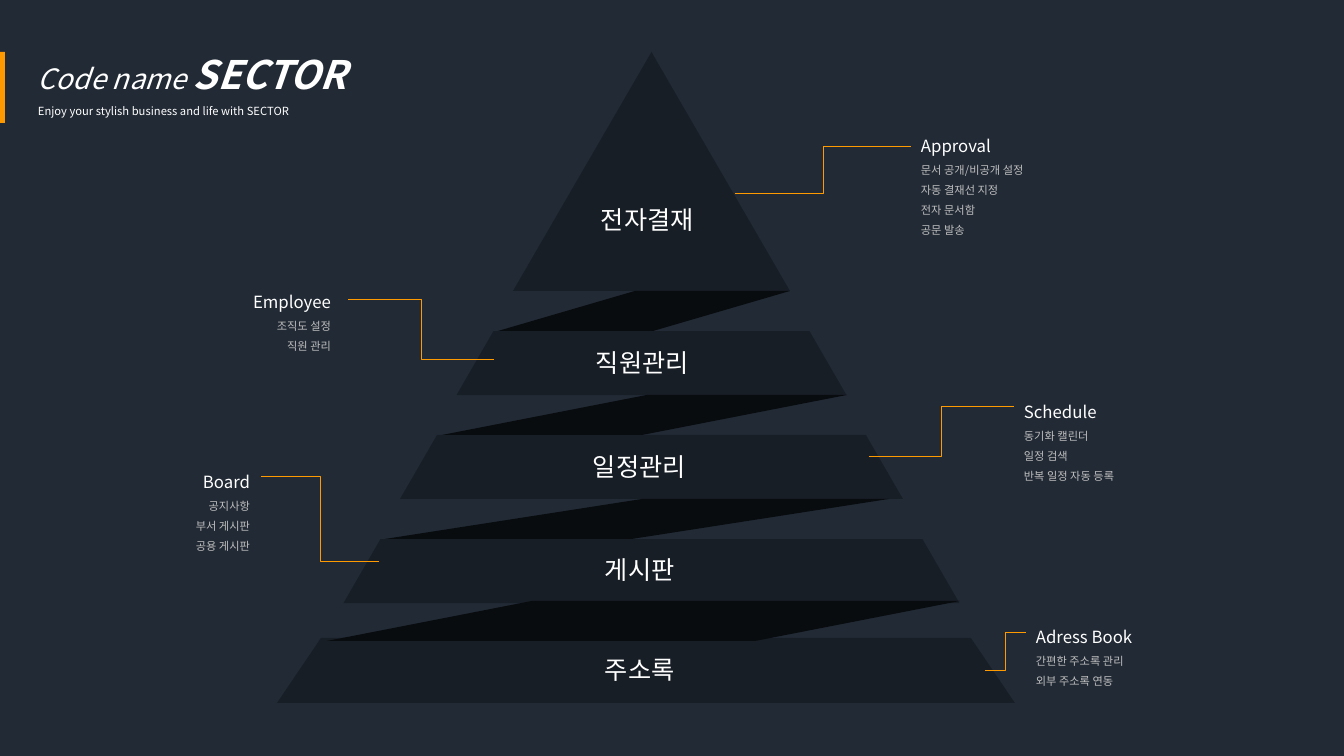
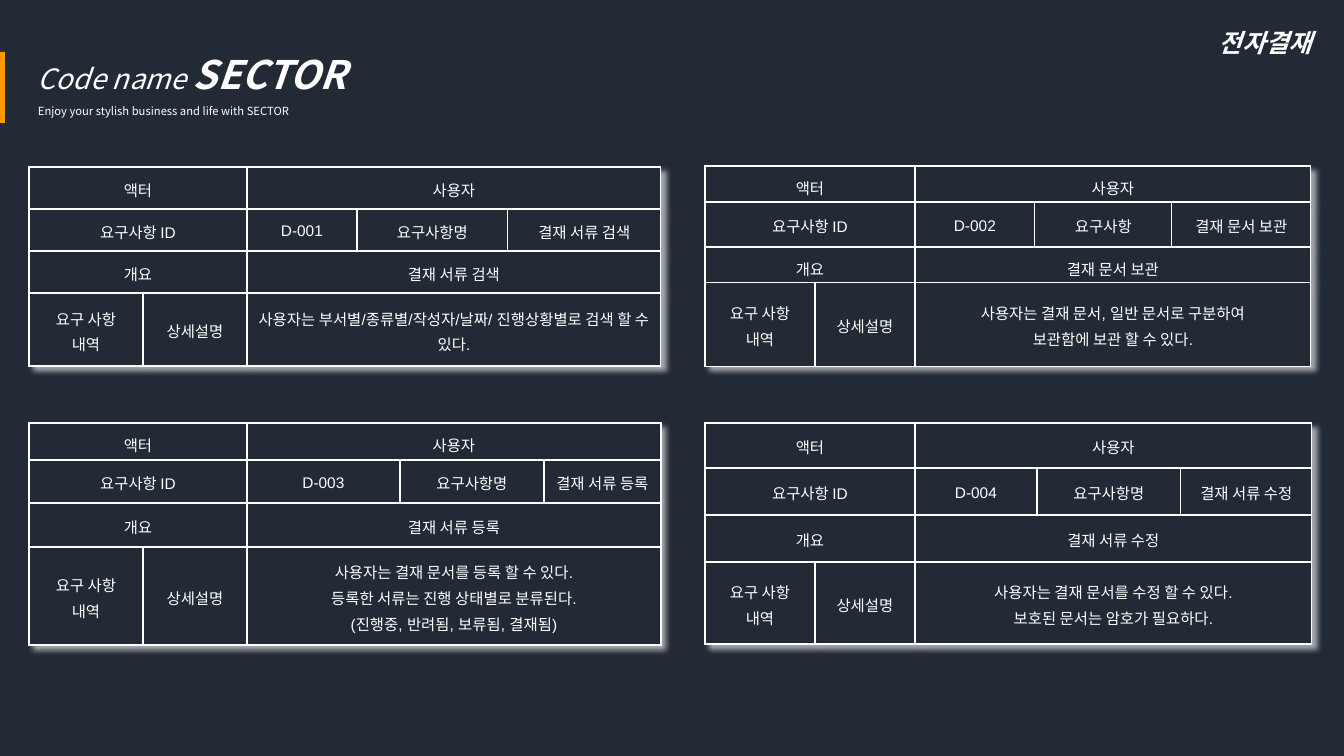
from lxml import etree
from pptx import Presentation
from pptx.dml.color import RGBColor
from pptx.enum import shapes, text
from pptx.oxml import parse_xml
from pptx.oxml.ns import nsdecls, qn
from pptx.util import Emu, Pt

SCALE = 914400 / 100.8
KOREAN, LATIN = "Noto Sans CJK KR", "Arial"
NAVY, TIER, RIBBON = "222A35", "181E26", "090C0F"
WHITE, GREY, ORANGE, AMBER = "FFFFFF", "BFBFBF", "FF9900", "FF9A01"
LEFT, CENTER, RIGHT = text.PP_ALIGN.LEFT, text.PP_ALIGN.CENTER, text.PP_ALIGN.RIGHT


def px(value):
    return Emu(round(value * SCALE))


def color(hex_string):
    return RGBColor.from_string(hex_string)


class Deck:
    def __init__(self):
        self.deck = Presentation()
        self.deck.slide_width, self.deck.slide_height = px(1344), px(756)
        self.page = None

    def add_page(self):
        """Start a slide with the shared background, accent bar and title."""
        self.page = self.deck.slides.add_slide(self.deck.slide_layouts[6])
        background = self.page.background.fill
        background.solid()
        background.fore_color.rgb = color(NAVY)
        self.shape(shapes.MSO_SHAPE.RECTANGLE, 0, 52, 5, 71, ORANGE)
        self.text_box(28, 22, 608, 102, [
            [("Code name ", 20, WHITE, False, True), ("SECTOR", 28, WHITE, True, True)],
            [("Enjoy your stylish business and life with SECTOR", 8, WHITE, False, False)],
        ], spacing=1.5)

    def paint(self, shape, fill):
        shape.shadow.inherit = False
        shape.fill.solid()
        shape.fill.fore_color.rgb = color(fill)
        shape.line.fill.background()

    def shape(self, kind, left, top, width, height, fill):
        shape = self.page.shapes.add_shape(kind, px(left), px(top), px(width), px(height))
        self.paint(shape, fill)
        return shape

    def outline(self, points, fill):
        start, *rest = [(px(x), px(y)) for x, y in points]
        builder = self.page.shapes.build_freeform(*start)
        builder.add_line_segments(rest, close=True)
        self.paint(builder.convert_to_shape(), fill)

    def style(self, span, size, fill, bold=False, italic=False, name=KOREAN):
        font = span.font
        font.name, font.size, font.bold, font.italic = name, Pt(size), bold, italic
        font.color.rgb = color(fill)
        if name == KOREAN:
            latin = font._element.find(qn("a:latin"))
            east_asian = etree.Element(qn("a:ea"), typeface=name)
            latin.addnext(east_asian)

    def text_box(self, left, top, width, height, lines, align=LEFT, spacing=None, wrap=True):
        """Each line is a list of (words, size, colour, bold, italic) spans."""
        box = self.page.shapes.add_textbox(px(left), px(top), px(width), px(height))
        frame = box.text_frame
        frame.word_wrap = wrap
        frame.auto_size = text.MSO_AUTO_SIZE.SHAPE_TO_FIT_TEXT
        for index, line in enumerate(lines):
            para = frame.paragraphs[0] if index == 0 else frame.add_paragraph()
            para.alignment, para.line_spacing = align, spacing
            for words, *look in line:
                span = para.add_run()
                span.text = words
                self.style(span, *look)

    def label(self, left, top, width, words, bold=False, italic=False):
        self.text_box(left, top, width, 40, [[(words, 18, WHITE, bold, italic)]], wrap=False)

    def callout(self, left, top, width, align, heading, items):
        lines = [[(heading, 12, WHITE)]] + [[(item, 8, GREY)] for item in items]
        self.text_box(left, top, width, 39 + 20 * len(items), lines, align, 1.5)

    def elbow(self, *ends):
        line = self.page.shapes.add_connector(shapes.MSO_CONNECTOR.ELBOW, *map(px, ends))
        line.line.color.rgb = color(AMBER)
        line.line.width = Pt(0.5)
        etree.SubElement(line._element.spPr, qn("a:effectLst"))

    def cell(self, cell, words):
        cell.fill.solid()
        cell.fill.fore_color.rgb = color(NAVY)
        cell.vertical_anchor = text.MSO_ANCHOR.MIDDLE
        cell.margin_left = cell.margin_right = cell.margin_top = cell.margin_bottom = px(7)
        for index, side in enumerate(("lnL", "lnR", "lnT", "lnB")):
            cell._tc.get_or_add_tcPr().insert(index, parse_xml(
                f'<a:{side} {nsdecls("a")} w="12700"><a:solidFill>'
                f'<a:srgbClr val="{WHITE}"/></a:solidFill></a:{side}>'))
        if words:
            cell.text_frame.text = words
        for para in cell.text_frame.paragraphs:
            para.alignment, para.line_spacing = CENTER, 1.15
            for span in para.runs:
                self.style(span, 11, WHITE, name=LATIN)

    def requirement(self, left, top, columns, rows, code, name_heading, name, details):
        """Requirement sheet: actor, ID and name, overview, details."""
        frame = self.page.shapes.add_table(
            len(rows), len(columns), px(left), px(top), px(sum(columns)), px(sum(rows)))
        table = frame.table
        table.first_row = table.horz_banding = False
        table._tbl.tblPr.insert(0, parse_xml(
            f'<a:effectLst {nsdecls("a")}><a:outerShdw blurRad="50800" dist="50800" '
            f'dir="2700000" algn="tl" rotWithShape="0"><a:srgbClr val="{WHITE}">'
            '<a:alpha val="60000"/></a:srgbClr></a:outerShdw></a:effectLst>'))
        for column, width in zip(table.columns, columns):
            column.width = px(width)
        for row, height in zip(table.rows, rows):
            row.height = px(height)
        content = [
            ["액터", "", "사용자", "", ""],
            ["요구사항 ID", "", code, name_heading, name],
            ["개요", "", name, "", ""],
            ["요구 사항\n내역", "상세설명", details, "", ""],
        ]
        for r, row in enumerate(content):
            for c, words in enumerate(row):
                self.cell(table.cell(r, c), words)
            if r < 3:
                table.cell(r, 0).merge(table.cell(r, 1))
            if r != 1:
                table.cell(r, 2).merge(table.cell(r, 4))


deck = Deck()

# Slide 1: pyramid of modules
deck.add_page()

# Tiers: centre, top, bottom, half width at top and bottom
tiers = [(651.5, 52, 291, 0, 138.5)]
tiers += [(651.5, 331 + 104 * i, 395 + 104 * i, 158 + 56.5 * i, 195 + 56.5 * i)
          for i in range(3)]
tiers.append((646, 638, 703, 325, 369))
for center, top, bottom, half_top, half_bottom in tiers:
    upper = [(center - half_top, top), (center + half_top, top)] if half_top else [(center, top)]
    deck.outline(upper + [(center + half_bottom, bottom), (center - half_bottom, bottom)], TIER)

# Ribbons folding between tiers
for left, top, width, slant in [(498, 291, 292, 3.42), (442, 395, 405, 5.12),
                                (385, 499, 504, 6.43), (327, 601, 633, 5.12)]:
    ribbon = deck.shape(shapes.MSO_SHAPE.PARALLELOGRAM, left, top, width, 40, RIBBON)
    ribbon.adjustments[0] = slant

# Tier names
for left, top, width, words in [
        (591, 199, 122, "전자결재"), (586, 342, 122, "직원관리"), (583, 446, 122, "일정관리"),
        (595, 549, 97, "게시판"), (595, 649, 97, "주소록")]:
    deck.label(left, top, width, words)

# Callouts with their connectors
callouts = [
    ((911, 121, 341, LEFT), (735, 193, 911, 146), "Approval",
     ["문서 공개/비공개 설정", "자동 결재선 지정", "전자 문서함", "공문 발송"]),
    ((0, 277, 341, RIGHT), (494, 359, 348, 299), "Employee", ["조직도 설정", "직원 관리"]),
    ((1014, 387, 330, LEFT), (869, 456, 1014, 406), "Schedule",
     ["동기화 캘린더", "일정 검색", "반복 일정 자동 등록"]),
    ((0, 457, 260, RIGHT), (379, 561, 261, 476), "Board",
     ["공지사항", "부서 게시판", "공용 게시판"]),
    ((1026, 612, 307, LEFT), (985, 670, 1026, 632), "Adress Book",
     ["간편한 주소록 관리", "외부 주소록 연동"]),
]
for place, ends, heading, items in callouts:
    deck.callout(*place, heading, items)
    deck.elbow(*ends)

# Slide 2: requirement sheets for approval
deck.add_page()
deck.requirement(29, 167, (114, 104, 110, 151, 153), (42, 42, 42, 73),
                 "D-001", "요구사항명", "결재 서류 검색",
                 "사용자는 부서별/종류별/작성자/날짜/ 진행상황별로 검색 할 수 있다.")
deck.requirement(705, 166, (110, 100, 120, 137, 139), (36, 45, 35, 84),
                 "D-002", "요구사항", "결재 문서 보관",
                 "사용자는 결재 문서, 일반 문서로 구분하여\n보관함에 보관 할 수 있다.")
deck.requirement(29, 423, (114, 104, 153, 144, 117), (37, 43, 44, 98),
                 "D-003", "요구사항명", "결재 서류 등록",
                 "사용자는 결재 문서를 등록 할 수 있다.\n등록한 서류는 진행 상태별로 분류된다.\n"
                 "(진행중, 반려됨, 보류됨, 결재됨)")
deck.requirement(705, 423, (110, 100, 122, 144, 131), (45, 47, 47, 82),
                 "D-004", "요구사항명", "결재 서류 수정",
                 "사용자는 결재 문서를 수정 할 수 있다.\n보호된 문서는 암호가 필요하다.")
deck.label(1209, 22, 122, "전자결재", bold=True, italic=True)

deck.deck.save("out.pptx")
